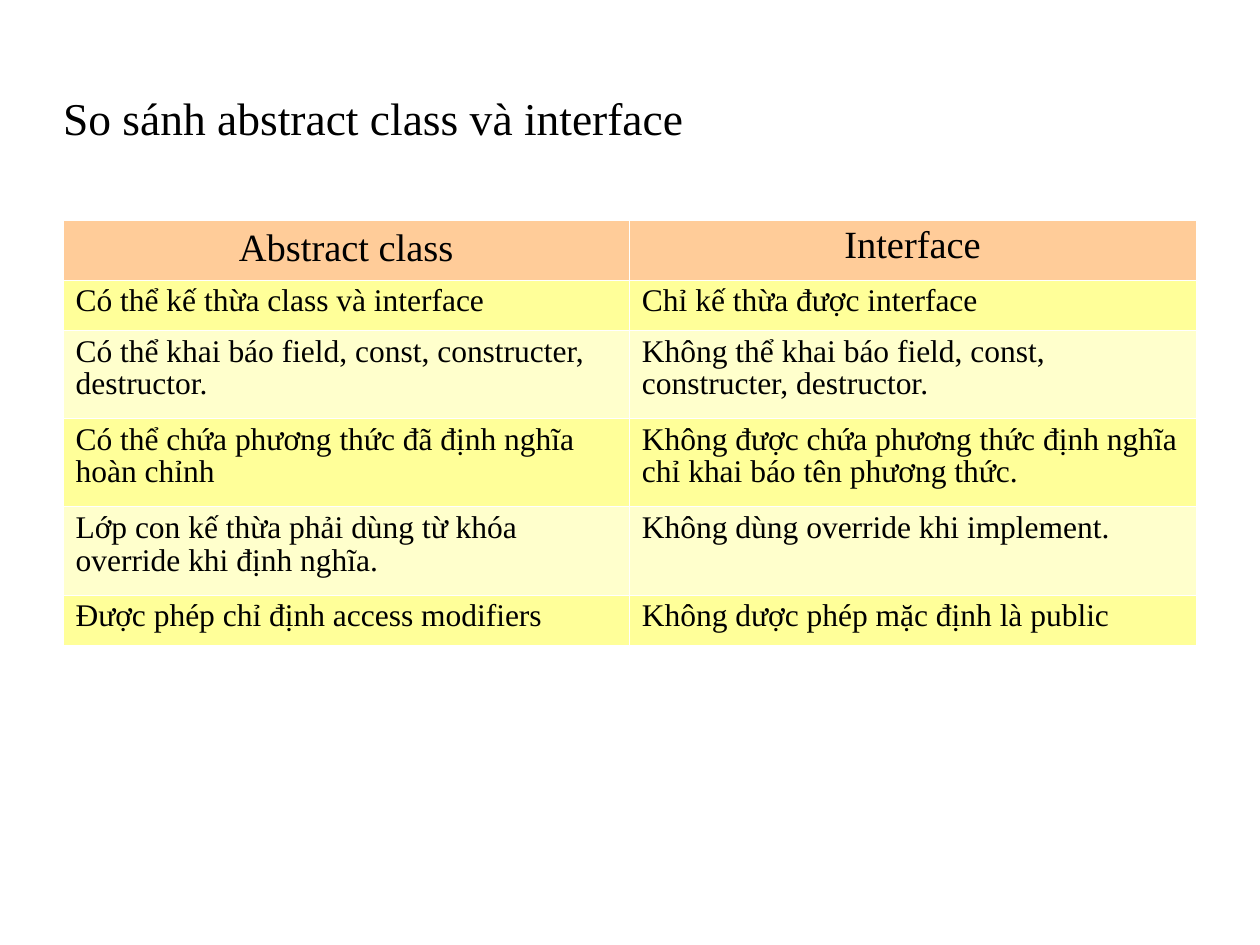
from lxml import etree
from pptx import Presentation
from pptx.dml.color import RGBColor
from pptx.enum.text import MSO_ANCHOR, MSO_AUTO_SIZE, PP_ALIGN
from pptx.oxml.ns import qn
from pptx.util import Inches, Pt

LEFT, CENTER = PP_ALIGN.LEFT, PP_ALIGN.CENTER
MIDDLE = MSO_ANCHOR.MIDDLE
GROW = MSO_AUTO_SIZE.SHAPE_TO_FIT_TEXT

FONT = "Times New Roman"
BLACK = RGBColor(0x00, 0x00, 0x00)
WHITE = RGBColor(0xFF, 0xFF, 0xFF)
ORANGE = RGBColor(0xFF, 0xCC, 0x99)
YELLOW = RGBColor(0xFF, 0xFF, 0x99)
CREAM = RGBColor(0xFF, 0xFF, 0xCC)

# Content
TITLE = "So sánh abstract class và interface"
ROWS = [
    ("Abstract class", "Interface"),
    ("Có thể kế thừa class và interface", "Chỉ kế thừa được interface"),
    ("Có thể khai báo field, const, constructer, destructor.",
     "Không thể khai báo field, const, constructer, destructor."),
    ("Có thể chứa phương thức đã định nghĩa hoàn chỉnh",
     "Không được chứa phương thức định nghĩa chỉ khai báo tên phương thức."),
    ("Lớp con kế thừa phải dùng từ khóa override khi định nghĩa.",
     "Không dùng override khi implement."),
    ("Được phép chỉ định access modifiers", "Không dược phép mặc định là public"),
]
ROW_HEIGHTS = [0.47, 0.4, 0.7, 0.7, 0.7, 0.4]
MARGIN, WIDTH = 0.5, 8.99
BORDER_WIDTH = Pt(0.06)


def format_paragraph(paragraph, size, alignment, spacing):
    paragraph.alignment = alignment
    paragraph.line_spacing = spacing
    paragraph.font.name = FONT
    paragraph.font.size = Pt(size)
    paragraph.font.bold = False
    paragraph.font.color.rgb = BLACK


def add_borders(cell):
    """Draw thin white lines; they must come before the cell fill."""
    properties = cell._tc.get_or_add_tcPr()
    for index, side in enumerate(("a:lnL", "a:lnR", "a:lnT", "a:lnB")):
        line = etree.Element(qn(side), w=str(BORDER_WIDTH))
        fill = etree.SubElement(line, qn("a:solidFill"))
        etree.SubElement(fill, qn("a:srgbClr"), val=str(WHITE))
        properties.insert(index, line)


presentation = Presentation()
presentation.slide_width = Inches(10)
presentation.slide_height = Inches(7.5)
slide = presentation.slides.add_slide(presentation.slide_layouts[5])
slide.background.fill.solid()
slide.background.fill.fore_color.rgb = WHITE

# Title
title = slide.shapes.title
title.left, title.top = Inches(MARGIN), Inches(0.3)
title.width, title.height = Inches(WIDTH), Inches(1.25)
frame = title.text_frame
frame.text = TITLE
frame.word_wrap = True
frame.auto_size = GROW
frame.vertical_anchor = MIDDLE
frame.margin_left = frame.margin_right = frame.margin_top = frame.margin_bottom = 0
format_paragraph(frame.paragraphs[0], 26, LEFT, 1.02)

# Comparison table
table = slide.shapes.add_table(
    len(ROWS), len(ROWS[0]), Inches(MARGIN), Inches(1.75),
    Inches(WIDTH), Inches(sum(ROW_HEIGHTS))).table
for row_index, (texts, height) in enumerate(zip(ROWS, ROW_HEIGHTS)):
    table.rows[row_index].height = Inches(height)
    is_header = row_index == 0
    color = ORANGE if is_header else YELLOW if row_index % 2 else CREAM
    for column_index, text in enumerate(texts):
        cell = table.cell(row_index, column_index)
        cell.text = text
        cell.margin_left = cell.margin_right = Inches(0.1)
        cell.margin_top = cell.margin_bottom = Inches(0.05)
        cell.fill.solid()
        cell.fill.fore_color.rgb = color
        add_borders(cell)
        # The first heading keeps single spacing
        spacing = 1.0 if is_header and column_index == 0 else 0.93
        format_paragraph(cell.text_frame.paragraphs[0], 22 if is_header else 18,
                         CENTER if is_header else LEFT, spacing)

presentation.save("out.pptx")
